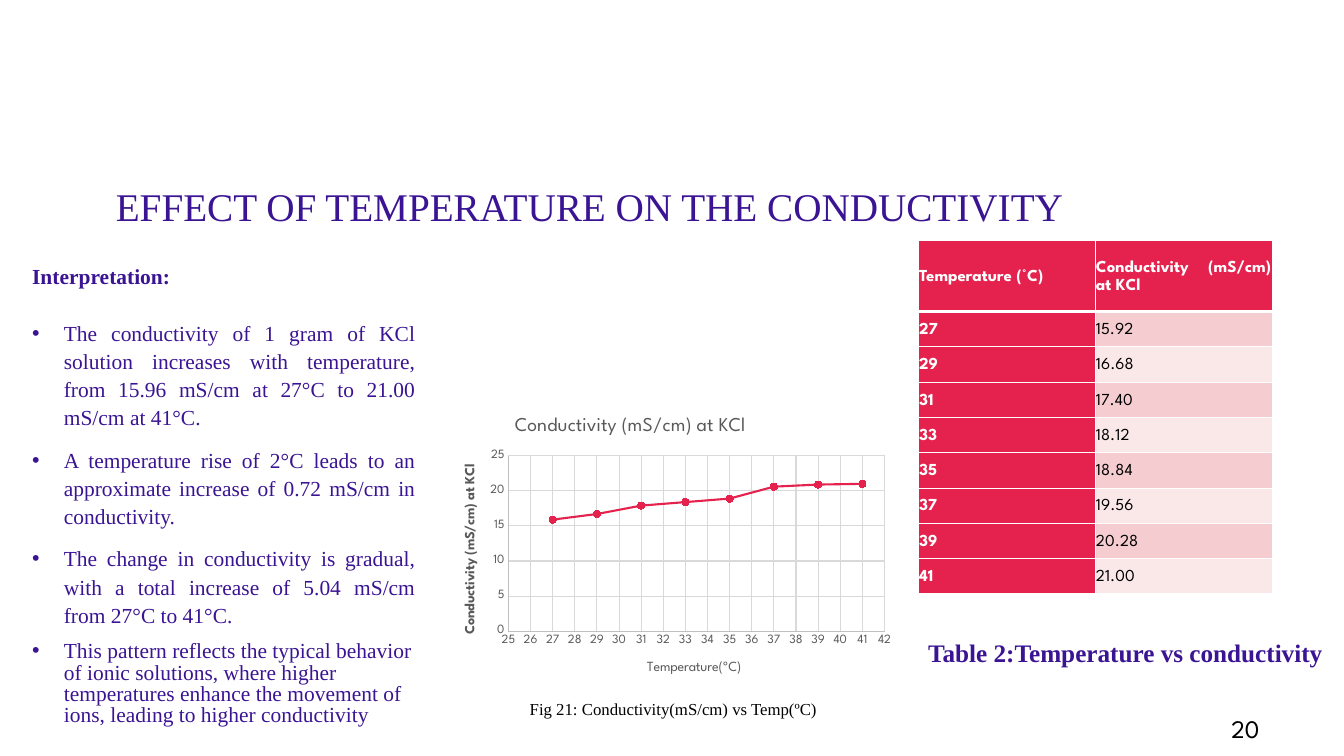
from lxml.etree import SubElement
from pptx import Presentation
from pptx.chart.data import XyChartData
from pptx.dml.color import RGBColor
from pptx.enum.chart import XL_CHART_TYPE, XL_MARKER_STYLE, XL_TICK_MARK
from pptx.enum.text import MSO_ANCHOR, PP_ALIGN
from pptx.oxml import parse_xml
from pptx.oxml.ns import nsdecls, qn
from pptx.util import Cm, Pt

COLORS = {"purple": "3A1493", "red": "E5224E", "band": "F5CDD0", "pale": "FAE8E9",
          "white": "FFFFFF", "black": "000000", "gray": "595959",
          "grid": "D9D9D9", "axis": "BFBFBF"}
SERIF, SANS = "Times New Roman", "League Spartan"


def style(font, size, name, color, bold=False):
    font.size, font.name, font.bold = Pt(size), name, bold
    font.color.rgb = RGBColor.from_string(COLORS[color])


def place(element, **fractions):
    """Give a chart part a fixed position, as fractions of the chart."""
    for old in element.findall(qn("c:layout")):
        element.remove(old)
    layout = parse_xml(f'<c:layout {nsdecls("c")}><c:manualLayout/></c:layout>')
    manual = layout[0]
    if "w" in fractions:
        SubElement(manual, qn("c:layoutTarget")).set("val", "inner")
    for mode in ("xMode", "yMode"):
        SubElement(manual, qn(f"c:{mode}")).set("val", "edge")
    for key, value in fractions.items():
        SubElement(manual, qn(f"c:{key}")).set("val", str(value))
    element.insert(0 if element.find(qn("c:tx")) is None else 1, layout)


presentation = Presentation()
presentation.slide_width, presentation.slide_height = Cm(33.87), Cm(19.05)
slide = presentation.slides.add_slide(presentation.slide_layouts[6])

# Heading, captions and page number: text, box, size, font, color, bold
labels = [
    ("EFFECT OF TEMPERATURE ON THE CONDUCTIVITY", (2.67, 2.62, 25.55, 4.45), 28, SERIF, "purple", False),
    ("Table 2:Temperature vs conductivity", (23.14, 15.93, 10.72, 1.02), 18, SERIF, "purple", True),
    ("20", (30.78, 17.86, 1.22, 1.02), 18, SANS, "black", False),
    ("Fig 21: Conductivity(mS/cm) vs Temp(ºC)", (13.1, 17.48, 19.9, 0.76), 12, SERIF, "black", False),
]
for text, box, size, name, color, bold in labels:
    frame = slide.shapes.add_textbox(*map(Cm, box)).text_frame
    frame.word_wrap = text != "20"
    frame.text = text
    style(frame.paragraphs[0].runs[0].font, size, name, color, bold)
    if size == 28:
        frame.vertical_anchor = MSO_ANCHOR.BOTTOM
        frame.margin_bottom = Cm(1.27)
        frame.paragraphs[0].line_spacing = 0.9

# Interpretation
findings = [
    "Interpretation:",
    "The conductivity of 1 gram of KCl solution increases with temperature, "
    "from 15.96 mS/cm at 27°C to 21.00 mS/cm at 41°C.",
    "A temperature rise of 2°C leads to an approximate increase of 0.72 mS/cm in conductivity.",
    "The change in conductivity is gradual, with a total increase of 5.04 mS/cm from 27°C to 41°C.",
    "This pattern reflects the typical behavior of ionic solutions, where higher "
    "temperatures enhance the movement of ions, leading to higher conductivity",
]
interpretation = slide.shapes.add_textbox(Cm(0.56), Cm(6.45), Cm(10.16), Cm(11.4)).text_frame
interpretation.word_wrap = True
interpretation.text = "\n".join(findings)
for index, paragraph in enumerate(interpretation.paragraphs):
    is_heading, is_last = index == 0, index == len(findings) - 1
    paragraph.alignment = PP_ALIGN.LEFT if is_last else PP_ALIGN.JUSTIFY
    paragraph.line_spacing = 0.83 if is_last else 1.1
    if is_heading:
        paragraph.space_after = Pt(10)
    else:
        paragraph.space_before = Pt(10)
        properties = paragraph._p.get_or_add_pPr()
        properties.set("marL", str(Cm(0.8)))
        properties.set("indent", str(-Cm(0.8)))
        SubElement(properties, qn("a:buFont")).set("typeface", "Arial")
        SubElement(properties, qn("a:buChar")).set("char", "•")
    style(paragraph.runs[0].font, 15.3, SERIF, "purple", is_heading)

# Table of readings
readings = [("Temperature (°C)", "Conductivity (mS/cm) at KCl"),
            ("27", "15.92"), ("29", "16.68"), ("31", "17.40"), ("33", "18.12"),
            ("35", "18.84"), ("37", "19.56"), ("39", "20.28"), ("41", "21.00")]
table = slide.shapes.add_table(len(readings), 2, Cm(23.14), Cm(6.07), Cm(8.92), Cm(8.94)).table
for column in table.columns:
    column.width = Cm(4.46)
for row, reading in enumerate(readings):
    table.rows[row].height = Cm(0.89 if row else 1.78)
    for col, text in enumerate(reading):
        cell = table.cell(row, col)
        cell.text = text
        cell.vertical_anchor = MSO_ANCHOR.MIDDLE
        cell.margin_left = cell.margin_right = cell.margin_top = cell.margin_bottom = Cm(0.02)
        paragraph = cell.text_frame.paragraphs[0]
        paragraph.alignment = PP_ALIGN.JUSTIFY
        paragraph.line_spacing, paragraph.space_after = 1.15, Pt(10)
        is_header = row == 0 or col == 0
        style(paragraph.runs[0].font, 12, SANS, "white" if is_header else "black", is_header)
        for side in "LRTB":
            thick = (row, side) in ((0, "B"), (1, "T"))
            border = SubElement(cell._tc.get_or_add_tcPr(), qn(f"a:ln{side}"), w=str(Pt(3 if thick else 1)))
            SubElement(SubElement(border, qn("a:solidFill")), qn("a:srgbClr"), val=COLORS["white"])
        fill = "red" if is_header else "band" if row % 2 else "pale"
        cell.fill.solid()
        cell.fill.fore_color.rgb = RGBColor.from_string(COLORS[fill])

# Chart of conductivity against temperature
measure = "Conductivity (mS/cm) at KCl"
data = XyChartData()
points = data.add_series(measure)
for temperature, conductivity in zip(range(27, 42, 2), (15.9, 16.7, 17.9, 18.4, 18.9, 20.6, 20.9, 21)):
    points.add_data_point(temperature, conductivity)
chart = slide.shapes.add_chart(XL_CHART_TYPE.XY_SCATTER_LINES, Cm(11.15), Cm(10.16),
                               Cm(11.56), Cm(7.37), data).chart
style(chart.font, 10, SANS, "black")
chart.has_legend = False
chart.has_title = True
chart.chart_title.text_frame.text = measure
style(chart.chart_title.text_frame.paragraphs[0].runs[0].font, 14, SANS, "gray")
place(chart.chart_title._element, x=0.15, y=0.03)
place(chart._chartSpace.chart.plotArea, x=0.144, y=0.18, w=0.82, h=0.6)

# Axes: title, bold, title position, minimum, maximum, step
axes = [(chart.category_axis, "Temperature(ºC)", False, (0.44, 0.87), 25, 42, 1),
        (chart.value_axis, measure, True, (0.04, 0.2), 0, 25, 5)]
for axis, title, bold, (x, y), low, high, step in axes:
    axis.minimum_scale, axis.maximum_scale, axis.major_unit = low, high, step
    axis.major_tick_mark = axis.minor_tick_mark = XL_TICK_MARK.NONE
    axis.has_major_gridlines = True
    for line, color in ((axis.format.line, "axis"), (axis.major_gridlines.format.line, "grid")):
        line.color.rgb = RGBColor.from_string(COLORS[color])
        line.width = Pt(0.75)
    style(axis.tick_labels.font, 9, SANS, "gray")
    axis.has_title = True
    caption = axis.axis_title.text_frame
    caption.text = title
    style(caption.paragraphs[0].runs[0].font, 10, SANS, "gray", bold)
    place(axis.axis_title._element, x=x, y=y)
chart.value_axis.axis_title.text_frame._txBody.bodyPr.set("rot", "-5400000")

# Series line and markers
series = chart.plots[0].series[0]
chart.plots[0].vary_by_categories = False
series.smooth = False
series.format.line.width = Pt(1.5)
series.marker.style, series.marker.size = XL_MARKER_STYLE.CIRCLE, 5
series.marker.format.fill.solid()
red = RGBColor.from_string(COLORS["red"])
series.format.line.color.rgb = red
series.marker.format.fill.fore_color.rgb = red
series.marker.format.line.color.rgb = red

presentation.save("out.pptx")
